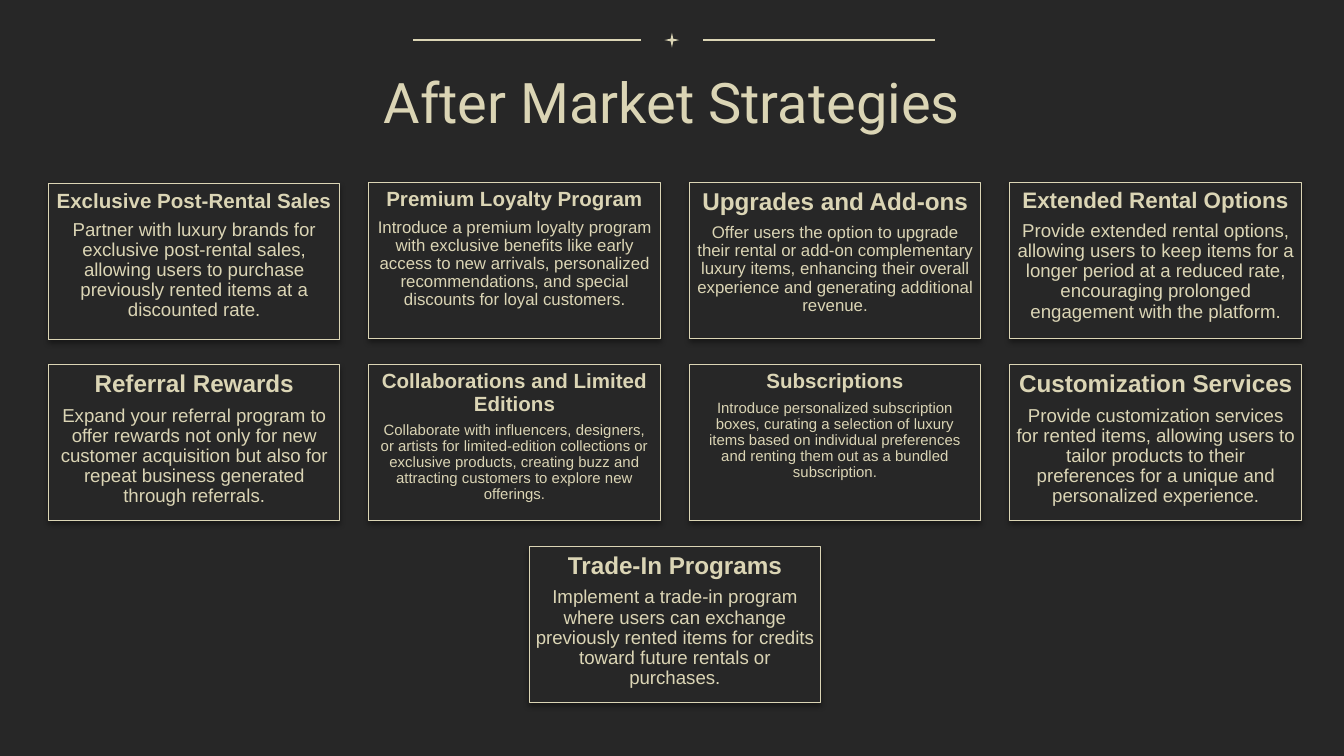
from dataclasses import dataclass

import pptx
import pptx.dml.color
import pptx.enum.shapes
import pptx.enum.text
import pptx.oxml
import pptx.oxml.ns
import pptx.util
from lxml import etree

Pt = pptx.util.Pt
RGB = pptx.dml.color.RGBColor
DARK = RGB(0x27, 0x27, 0x27)
SAND = RGB(0xDB, 0xD5, 0xB5)
BLACK = RGB(0, 0, 0)

LEFT, TOP = 25.9, 97.8
WIDE, HIGH = 156.1, 83.5
STEP_X, STEP_Y = 171.7, 97.5
RULE_Y = 21.5


@dataclass
class Card:
    col: float
    row: int
    head: str
    size: float
    body: str
    small: float
    drop: float = 0


CARDS = [
    Card(0, 0, "Exclusive Post-Rental Sales", 11,
         "Partner with luxury brands for exclusive post-rental sales, allowing users "
         "to purchase previously rented items at a discounted rate.", 10, 0.8),
    Card(1, 0, "Premium Loyalty Program", 11,
         "Introduce a premium loyalty program with exclusive benefits like early access "
         "to new arrivals, personalized recommendations, and special discounts for "
         "loyal customers.", 9),
    Card(2, 0, "Upgrades and Add-ons", 13,
         "Offer users the option to upgrade their rental or add-on complementary luxury "
         "items, enhancing their overall experience and generating additional revenue.", 9),
    Card(3, 0, "Extended Rental Options", 12,
         "Provide extended rental options, allowing users to keep items for a longer "
         "period at a reduced rate, encouraging prolonged engagement with the platform.", 10),
    Card(0, 1, "Referral Rewards", 13,
         "Expand your referral program to offer rewards not only for new customer "
         "acquisition but also for repeat business generated through referrals.", 10),
    Card(1, 1, "Collaborations and Limited Editions", 11,
         "Collaborate with influencers, designers, or artists for limited-edition "
         "collections or exclusive products, creating buzz and attracting customers "
         "to explore new offerings.", 8),
    Card(2, 1, "Subscriptions", 11,
         "Introduce personalized subscription boxes, curating a selection of luxury "
         "items based on individual preferences and renting them out as a bundled "
         "subscription.", 8),
    Card(3, 1, "Customization Services", 13,
         "Provide customization services for rented items, allowing users to tailor "
         "products to their preferences for a unique and personalized experience.", 10),
    Card(1.5, 2, "Trade-In Programs", 13,
         "Implement a trade-in program where users can exchange previously rented items "
         "for credits toward future rentals or purchases.", 10),
]


def add_run(para, text: str, font: str, size: float, bold: bool = False) -> None:
    para.alignment = pptx.enum.text.PP_ALIGN.CENTER
    run = para.add_run()
    run.text = text
    run.font.name = font
    run.font.size = Pt(size)
    run.font.bold = bold
    run.font.color.rgb = SAND


def set_frame(frame, inset: float) -> None:
    frame.word_wrap = True
    frame.auto_size = pptx.enum.text.MSO_AUTO_SIZE.NONE
    frame.vertical_anchor = pptx.enum.text.MSO_ANCHOR.TOP
    frame.margin_left = frame.margin_right = Pt(inset)
    frame.margin_top = frame.margin_bottom = Pt(inset)


def add_shade(shape) -> None:
    glow = pptx.oxml.parse_xml(
        f'<a:effectLst {pptx.oxml.ns.nsdecls("a")}>'
        f'<a:outerShdw blurRad="{Pt(3.1)}" dist="{Pt(1.6)}" dir="5400000" rotWithShape="0">'
        f'<a:srgbClr val="{BLACK}"><a:alpha val="38000"/></a:srgbClr>'
        '</a:outerShdw></a:effectLst>')
    shape._element.spPr.append(glow)


def add_card(slide, card: Card) -> None:
    box = slide.shapes.add_shape(
        pptx.enum.shapes.MSO_SHAPE.RECTANGLE,
        Pt(LEFT + card.col * STEP_X), Pt(TOP + card.row * STEP_Y + card.drop),
        Pt(WIDE), Pt(HIGH))
    box.fill.solid()
    box.fill.fore_color.rgb = DARK
    box.line.color.rgb = SAND
    box.line.width = Pt(0.5)
    add_shade(box)
    frame = box.text_frame
    set_frame(frame, 3.6)
    head = frame.paragraphs[0]
    body = frame.add_paragraph()
    add_run(head, card.head, "Arial", card.size, True)
    add_run(body, card.body, "Arial", card.small)
    head.line_spacing = body.line_spacing = 0.9
    head.space_after = Pt(round(card.size * 0.35, 2))


def add_rule(slide, start: float, end: float) -> None:
    rule = slide.shapes.add_connector(
        pptx.enum.shapes.MSO_CONNECTOR.STRAIGHT,
        Pt(start), Pt(RULE_Y), Pt(end), Pt(RULE_Y))
    rule.line.color.rgb = SAND
    rule.line.width = Pt(0.75)
    etree.SubElement(rule._element.spPr, pptx.oxml.ns.qn("a:effectLst"))


def add_star(slide, size: float) -> None:
    star = slide.shapes.add_shape(
        pptx.enum.shapes.MSO_SHAPE.STAR_4_POINT,
        Pt(360 - size / 2), Pt(RULE_Y - size / 2), Pt(size), Pt(size))
    star.adjustments[0] = 0.125
    star.shadow.inherit = False
    star.fill.solid()
    star.fill.fore_color.rgb = SAND
    star.line.fill.background()


def set_title(slide, text: str) -> None:
    title = slide.shapes.title
    title.left, title.top = Pt(56.7), Pt(28.8)
    title.width, title.height = Pt(606.6), Pt(43.2)
    set_frame(title.text_frame, 7.2)
    add_run(title.text_frame.paragraphs[0], text, "Roboto", 30)


def main() -> None:
    deck = pptx.Presentation()
    deck.slide_width, deck.slide_height = Pt(720), Pt(405)
    slide = deck.slides.add_slide(deck.slide_layouts.get_by_name("Title Only"))
    slide.background.fill.solid()
    slide.background.fill.fore_color.rgb = DARK
    add_star(slide, 8)
    add_rule(slide, 343.5, 221)
    add_rule(slide, 501, 376.5)
    set_title(slide, "After Market Strategies")
    for card in CARDS:
        add_card(slide, card)
    deck.save("out.pptx")


if __name__ == "__main__":
    main()
